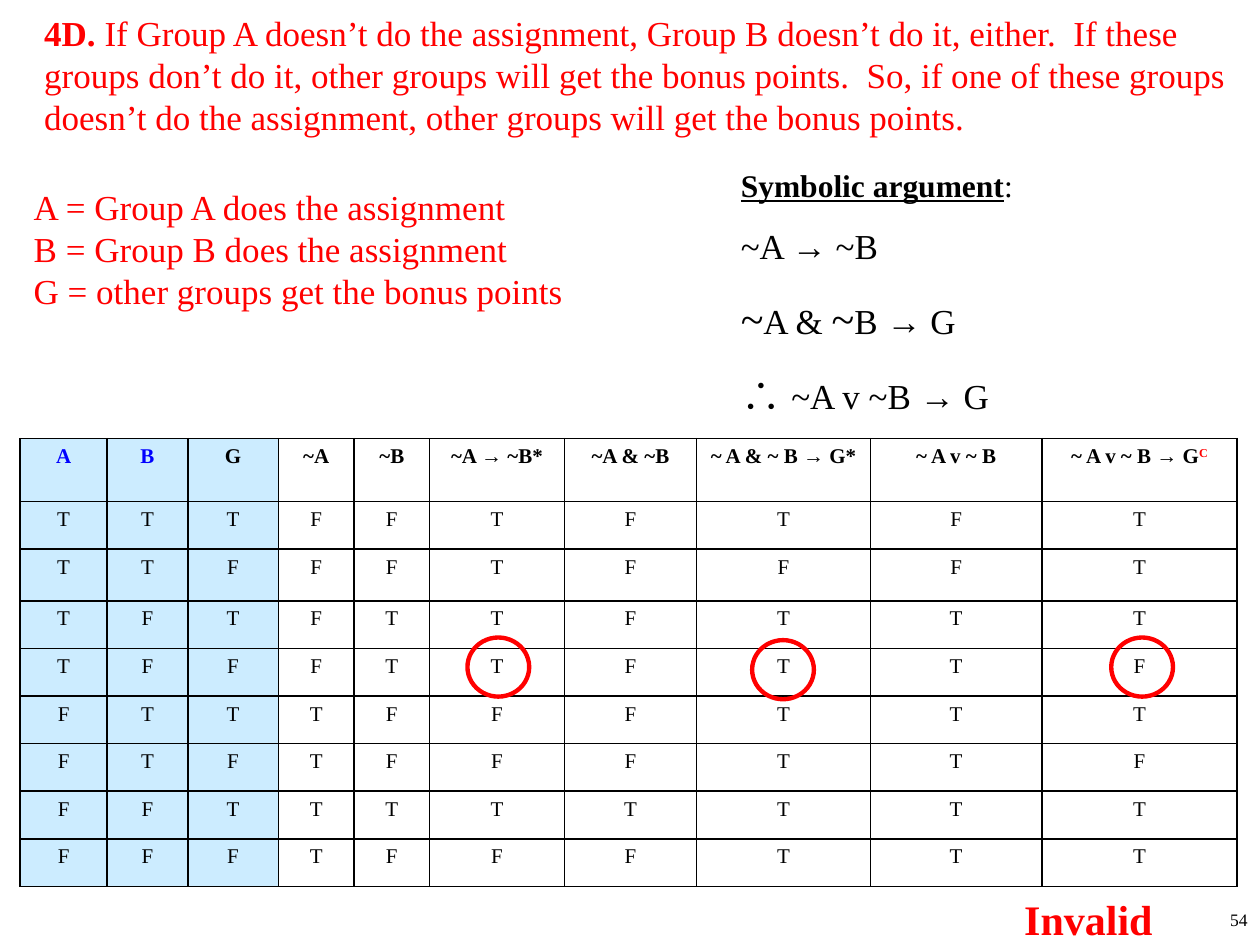
from lxml import etree
from pptx import Presentation
from pptx import util as u
from pptx.dml.color import RGBColor
from pptx.enum import shapes, text
from pptx.oxml import ns

RED = RGBColor(0xFF, 0x00, 0x00)
BLUE = RGBColor(0x00, 0x00, 0xFF)
BLACK = RGBColor(0x00, 0x00, 0x00)
WHITE = RGBColor(0xFF, 0xFF, 0xFF)
PALE = RGBColor(0xCC, 0xEC, 0xFF)
FACE = "Times New Roman"

CLAIM = (
    "If Group A doesn’t do the assignment, Group B doesn’t do it, either.  "
    "If these groups don’t do it, other groups will get the bonus points.  "
    "So, if one of these groups doesn’t do the assignment, "
    "other groups will get the bonus points."
)
KEY = [
    "A = Group A does the assignment",
    "B = Group B does the assignment",
    "G = other groups get the bonus points",
]
PROOF = [
    [("Symbolic argument", {"size": u.Pt(18), "bold": True, "underline": True}),
     (":", {"size": u.Pt(18)})],
    [("~A → ~B", {})],
    [("~", {"size": u.Pt(24)}), ("A & ", {}), ("~", {"size": u.Pt(24)}), ("B → G", {})],
    [("∴", {"size": u.Pt(24)}), (" ~A v ~B → G", {})],
]
HEADS = ["A", "B", "G", "~A", "~B", "~A → ~B*", "~A & ~B",
         "~ A & ~ B → G*", "~ A v ~ B", "~ A v ~ B → G"]
TRUTH = ["TTTFFTFTFT", "TTFFFTFFFT", "TFTFTTFTTT", "TFFFTTFTTF",
         "FTTTFFFTTT", "FTFTFFFTTF", "FFTTTTTTTT", "FFFTFFFTTT"]
WIDTHS = [49.7, 46.1, 51.8, 43.2, 43.2, 77, 75.6, 99.4, 97.9, 111.6]
HEIGHTS = [36, 27.2, 29.6] + [27.2] * 6
RINGS = [(267.1, 364.3), (429.8, 365.8), (635, 364.3)]


def pts(*nums):
    """Turn numbers into point lengths."""
    return [u.Pt(n) for n in nums]


def style(font, color, **look):
    """Set the colour and the given format values of a font."""
    for name, value in {"name": FACE, **look}.items():
        setattr(font, name, value)
    font.color.rgb = color


def write(frame, paras, color, look, align=text.PP_ALIGN.LEFT, gap=1.0):
    """Fill a frame with paragraphs made of (words, format) runs."""
    frame.word_wrap = True
    for i, runs in enumerate(paras):
        para = frame.add_paragraph() if i else frame.paragraphs[0]
        para.alignment, para.line_spacing = align, gap
        for words, extra in runs:
            run = para.add_run()
            run.text = words
            style(run.font, color, **{**look, **extra})


def label(slide, box, paras, color, look, **rest):
    """Add a text box."""
    frame = slide.shapes.add_textbox(*pts(*box)).text_frame
    write(frame, paras, color, look, **rest)


def claim(slide):
    """Put the argument in the body placeholder."""
    slide.shapes.title.element.getparent().remove(slide.shapes.title.element)
    body = slide.placeholders[1]
    body.left, body.top, body.width, body.height = pts(0, 2.9, 720, 59)
    frame = body.text_frame
    frame.auto_size = text.MSO_AUTO_SIZE.NONE
    para = frame.paragraphs[0]
    para.space_before = u.Pt(0)
    props = para._p.get_or_add_pPr()
    props.set("marL", str(u.Pt(18)))
    props.set("indent", "0")
    etree.SubElement(props, ns.qn("a:buNone"))
    write(frame, [[("4D. ", {"bold": True}), (CLAIM, {})]], RED, {"size": u.Pt(20)})


def edge(cell):
    """Draw thin black borders round a cell."""
    props = cell._tc.get_or_add_tcPr()
    for i, side in enumerate(("lnL", "lnR", "lnT", "lnB")):
        line = etree.Element(ns.qn("a:" + side), w=str(u.Pt(1)))
        fill = etree.SubElement(line, ns.qn("a:solidFill"))
        etree.SubElement(fill, ns.qn("a:srgbClr"), val=str(BLACK))
        props.insert(i, line)


def grid(slide):
    """Add the truth table."""
    box = pts(11.5, 250.6, sum(WIDTHS), sum(HEIGHTS))
    table = slide.shapes.add_table(len(HEIGHTS), len(WIDTHS), *box).table
    table.first_row = table.horz_banding = False
    for col, wide in zip(table.columns, WIDTHS):
        col.width = u.Pt(wide)
    for row, high in zip(table.rows, HEIGHTS):
        row.height = u.Pt(high)
    for r, line in enumerate([HEADS] + TRUTH):
        for c, words in enumerate(line):
            cell = table.cell(r, c)
            cell.fill.solid()
            cell.fill.fore_color.rgb = PALE if c < 3 else WHITE
            color = BLUE if r == 0 and c < 2 else BLACK
            write(cell.text_frame, [[(words, {})]], color,
                  {"size": u.Pt(12), "bold": r == 0}, align=text.PP_ALIGN.CENTER)
            edge(cell)
    mark = table.cell(0, len(HEADS) - 1).text_frame.paragraphs[0].add_run()
    mark.text = "C"
    style(mark.font, RED, size=u.Pt(12), bold=True)
    mark._r.get_or_add_rPr().set("baseline", "30000")


def ring(slide, left, top):
    """Circle a truth value."""
    oval = slide.shapes.add_shape(shapes.MSO_SHAPE.OVAL, *pts(left, top, 35.3, 33.8))
    oval.shadow.inherit = False
    oval.fill.background()
    oval.line.color.rgb = RED
    oval.line.width = u.Pt(2.5)


def main():
    """Build the slide and save it."""
    deck = Presentation()
    deck.slide_width, deck.slide_height = pts(720, 540)
    slide = deck.slides.add_slide(deck.slide_layouts[1])
    claim(slide)
    label(slide, (416.2, 80.6, 291.6, 158.4), PROOF, BLACK, {"size": u.Pt(20)}, gap=1.5)
    grid(slide)
    for spot in RINGS:
        ring(slide, *spot)
    label(slide, (12.2, 102.2, 379.4, 118.8), [[(line, {})] for line in KEY],
          RED, {"size": u.Pt(20)})
    label(slide, (578.2, 506.9, 113, 36), [[("Invalid", {})]], RED,
          {"size": u.Pt(24), "bold": True})
    label(slide, (570.2, 516.2, 149.8, 23.8), [[("54", {})]], BLACK,
          {"size": u.Pt(10)}, align=text.PP_ALIGN.RIGHT)
    deck.save("out.pptx")


if __name__ == "__main__":
    main()
